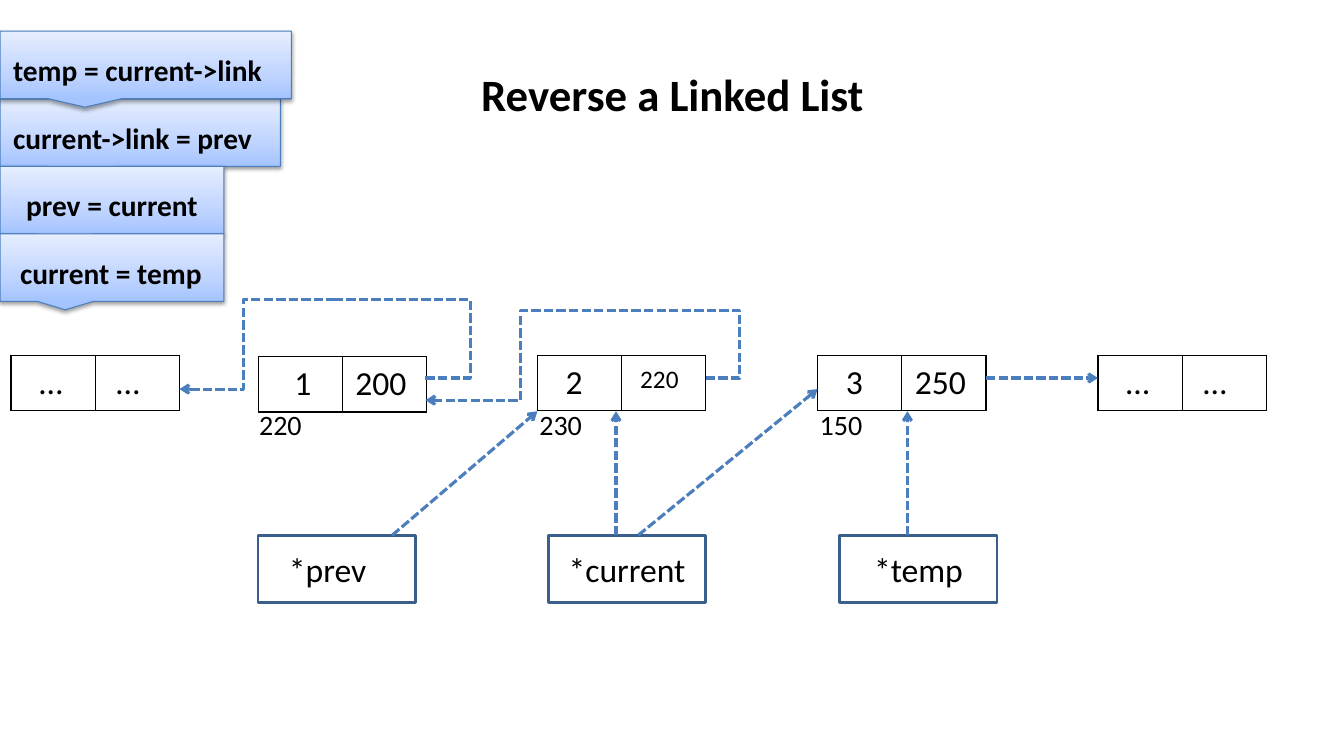
"""Build the slide that shows one step of reversing a linked list."""
from dataclasses import dataclass
from typing import Optional

import lxml.etree
import pptx
import pptx.dml.color
import pptx.enum.dml
import pptx.enum.shapes
import pptx.enum.text
import pptx.oxml.ns
import pptx.util

Inches = pptx.util.Inches
Pt = pptx.util.Pt
qn = pptx.oxml.ns.qn
SHAPES = pptx.enum.shapes.MSO_SHAPE
ALIGN = pptx.enum.text.PP_ALIGN
ANCHOR = pptx.enum.text.MSO_ANCHOR

FONT = "Calibri"
BLACK, WHITE = "000000", "FFFFFF"
ARROW_BLUE, BOX_BLUE = "4B7EBC", "3A5F8C"
GRADIENT = ((0, "A4C4FF"), (35, "BFD4FF"), (100, "E6EEFF"))
SIDE, EDGE = 0.13, 0.07
NODE_TOP, CELL_WIDTH, CELL_HEIGHT = 3.53, 0.835, 0.54
POINTER_TOP, ROW_HEIGHT = 5.31, 0.67


@dataclass
class Node:
    left: float
    value: str
    link: str
    value_inset: float = 0.28
    link_inset: float = SIDE
    top: float = NODE_TOP


@dataclass
class Label:
    text: str
    left: float
    top: float
    width: float
    height: float
    size: float
    bold: bool = False
    align: ALIGN = ALIGN.LEFT
    anchor: ANCHOR = ANCHOR.TOP


@dataclass
class Pointer:
    text: str
    left: float
    right_inset: float = SIDE


@dataclass
class Statement:
    text: str
    row: int
    width: float
    left_inset: float = SIDE


@dataclass
class Arrow:
    start: tuple[float, float]
    end: tuple[float, float]
    bend: Optional[float] = None
    head: bool = True


NODES = [
    Node(0.11, "…", "…", link_inset=0.21),
    Node(2.56, "1", "200", value_inset=0.36, top=3.54),
    Node(5.33, "2", ""),
    Node(8.11, "3", "250"),
    Node(10.89, "…", "…", link_inset=0.21),
]
LABELS = [
    Label("Reverse a Linked List", 0.67, 0.3, 12, 1.25, 32, True, ALIGN.CENTER, ANCHOR.MIDDLE),
    Label("220", 2.44, 3.97, 1.11, 0.47, 20),
    Label("230", 5.22, 3.97, 1, 0.47, 20),
    Label("150", 8, 3.97, 1.11, 0.47, 20),
    Label("220", 6.22, 3.53, 0.89, 0.44, 18),
]
POINTERS = [Pointer("*prev", 2.56, 0.31), Pointer("*current", 5.44), Pointer("*temp", 8.33)]
STATEMENTS = [
    Statement("current->link = prev", 1, 2.78),
    Statement("prev = current", 2, 2.22, 0.26),
    Statement("current = temp", 3, 2.22, 0.2),
    Statement("temp = current->link", 0, 2.89),
]
ARROWS = [
    Arrow((9.78, 3.75), (10.89, 3.75)),
    Arrow((3.89, POINTER_TOP), (5.33, 4.08)),
    Arrow((6.11, POINTER_TOP), (6.11, 4.08)),
    Arrow((6.33, POINTER_TOP), (8.11, 3.86)),
    Arrow((9, POINTER_TOP), (9, 4.08)),
    Arrow((4.22, 3.75), (3.33, 2.97), -0.5, False),
    Arrow((3.33, 2.97), (1.78, 3.86), 0.59),
    Arrow((7, 3.75), (6.11, 3.08), -0.38, False),
    Arrow((6.11, 3.08), (4.22, 3.97), 0.5),
]


def color(value: str) -> pptx.dml.color.RGBColor:
    """Turn a hex string into a colour."""
    return pptx.dml.color.RGBColor.from_string(value)


def add_xml(parent, tag: str, **attributes):
    """Append an element with the given attributes."""
    return lxml.etree.SubElement(parent, qn(tag), {key: str(value) for key, value in attributes.items()})


def write(frame, text: str, size: float, bold: bool = False, align: ALIGN = ALIGN.LEFT) -> None:
    """Write one run into the first paragraph of a text frame."""
    para = frame.paragraphs[0]
    para.alignment = align
    span = para.add_run()
    span.text = text
    span.font.name, span.font.size, span.font.bold = FONT, Pt(size), bold
    span.font.color.rgb = color(BLACK)


def set_insets(target, left: float = SIDE, top: float = EDGE, right: float = SIDE) -> None:
    """Set the inner margins of a text frame or table cell."""
    target.margin_left, target.margin_top = Inches(left), Inches(top)
    target.margin_right, target.margin_bottom = Inches(right), Inches(EDGE)


def add_node(page, node: Node) -> None:
    """Draw a list node as a table with a value and a link cell."""
    table = page.shapes.add_table(1, 2, Inches(node.left), Inches(node.top),
                                  Inches(2 * CELL_WIDTH), Inches(CELL_HEIGHT)).table
    table.first_row = table.horz_banding = False
    contents = ((node.value, node.value_inset), (node.link, node.link_inset))
    for cell, (text, inset) in zip(table.iter_cells(), contents):
        set_insets(cell, inset)
        properties = cell._tc.get_or_add_tcPr()
        for side in ("a:lnL", "a:lnR", "a:lnT", "a:lnB"):
            border = add_xml(properties, side, w=Pt(1))
            add_xml(add_xml(border, "a:solidFill"), "a:srgbClr", val=BLACK)
        cell.fill.background()
        if text:
            write(cell.text_frame, text, 24)


def add_label(page, label: Label) -> None:
    """Draw free text."""
    box = page.shapes.add_textbox(Inches(label.left), Inches(label.top),
                                  Inches(label.width), Inches(label.height))
    frame = box.text_frame
    frame.word_wrap, frame.vertical_anchor = True, label.anchor
    set_insets(frame)
    write(frame, label.text, label.size, label.bold, label.align)


def add_box(page, kind: SHAPES, left: float, top: float, width: float, line: str, weight: float):
    """Draw an outlined shape with vertically centred text and no shadow."""
    box = page.shapes.add_shape(kind, Inches(left), Inches(top), Inches(width), Inches(ROW_HEIGHT))
    box.shadow.inherit = False
    box.line.color.rgb, box.line.width = color(line), Pt(weight)
    box.text_frame.word_wrap, box.text_frame.vertical_anchor = True, ANCHOR.MIDDLE
    return box


def add_pointer(page, pointer: Pointer) -> None:
    """Draw a pointer variable."""
    box = add_box(page, SHAPES.RECTANGLE, pointer.left, POINTER_TOP, 1.56, BOX_BLUE, 2)
    box.fill.solid()
    box.fill.fore_color.rgb = color(WHITE)
    set_insets(box.text_frame, right=pointer.right_inset)
    write(box.text_frame, pointer.text, 24, align=ALIGN.CENTER)


def add_statement(page, statement: Statement) -> None:
    """Draw a code statement in a shaded callout."""
    top = 0.31 + statement.row * ROW_HEIGHT
    box = add_box(page, SHAPES.RECTANGULAR_CALLOUT, 0, top, statement.width, ARROW_BLUE, 0.75)
    box.fill.gradient()
    box.fill.gradient_angle = 90
    properties = box._element.spPr
    stops = properties.find(".//" + qn("a:gsLst"))
    stops.clear()
    for position, shade in GRADIENT:
        add_xml(add_xml(stops, "a:gs", pos=position * 1000), "a:srgbClr", val=shade)
    shadow = add_xml(properties.find(qn("a:effectLst")), "a:outerShdw", blurRad=Pt(3.1),
                     dist=Pt(1.6), dir=5400000, rotWithShape=0)
    add_xml(add_xml(shadow, "a:srgbClr", val=BLACK), "a:alpha", val=38000)
    set_insets(box.text_frame, statement.left_inset, top=0.17)
    write(box.text_frame, statement.text, 21, bold=True)


def add_arrow(page, arrow: Arrow) -> None:
    """Draw a dashed connector; a bent one is laid out backwards and turned by 180 degrees."""
    bent = arrow.bend is not None
    kinds = pptx.enum.shapes.MSO_CONNECTOR
    start, end = (arrow.end, arrow.start) if bent else (arrow.start, arrow.end)
    link = page.shapes.add_connector(kinds.ELBOW if bent else kinds.STRAIGHT,
                                     *(Inches(value) for value in start + end))
    link.line.color.rgb, link.line.width = color(ARROW_BLUE), Pt(2.25)
    link.line.dash_style = pptx.enum.dml.MSO_LINE.SQUARE_DOT
    properties = link._element.spPr
    if bent:
        properties.find(qn("a:xfrm")).set("rot", "10800000")
        guides = properties.find(qn("a:prstGeom")).get_or_add_avLst()
        add_xml(guides, "a:gd", name="adj1", fmla=f"val {round(arrow.bend * 100000)}")
    if arrow.head:
        add_xml(properties.find(qn("a:ln")), "a:tailEnd", type="arrow")
    add_xml(properties, "a:effectLst")


def main() -> None:
    """Assemble and save the deck."""
    deck = pptx.Presentation()
    deck.slide_width, deck.slide_height = Inches(13.33), Inches(7.5)
    page = deck.slides.add_slide(deck.slide_layouts[6])
    for draw, items in ((add_node, NODES), (add_label, LABELS), (add_pointer, POINTERS),
                        (add_statement, STATEMENTS), (add_arrow, ARROWS)):
        for item in items:
            draw(page, item)
    deck.save("out.pptx")


if __name__ == "__main__":
    main()
